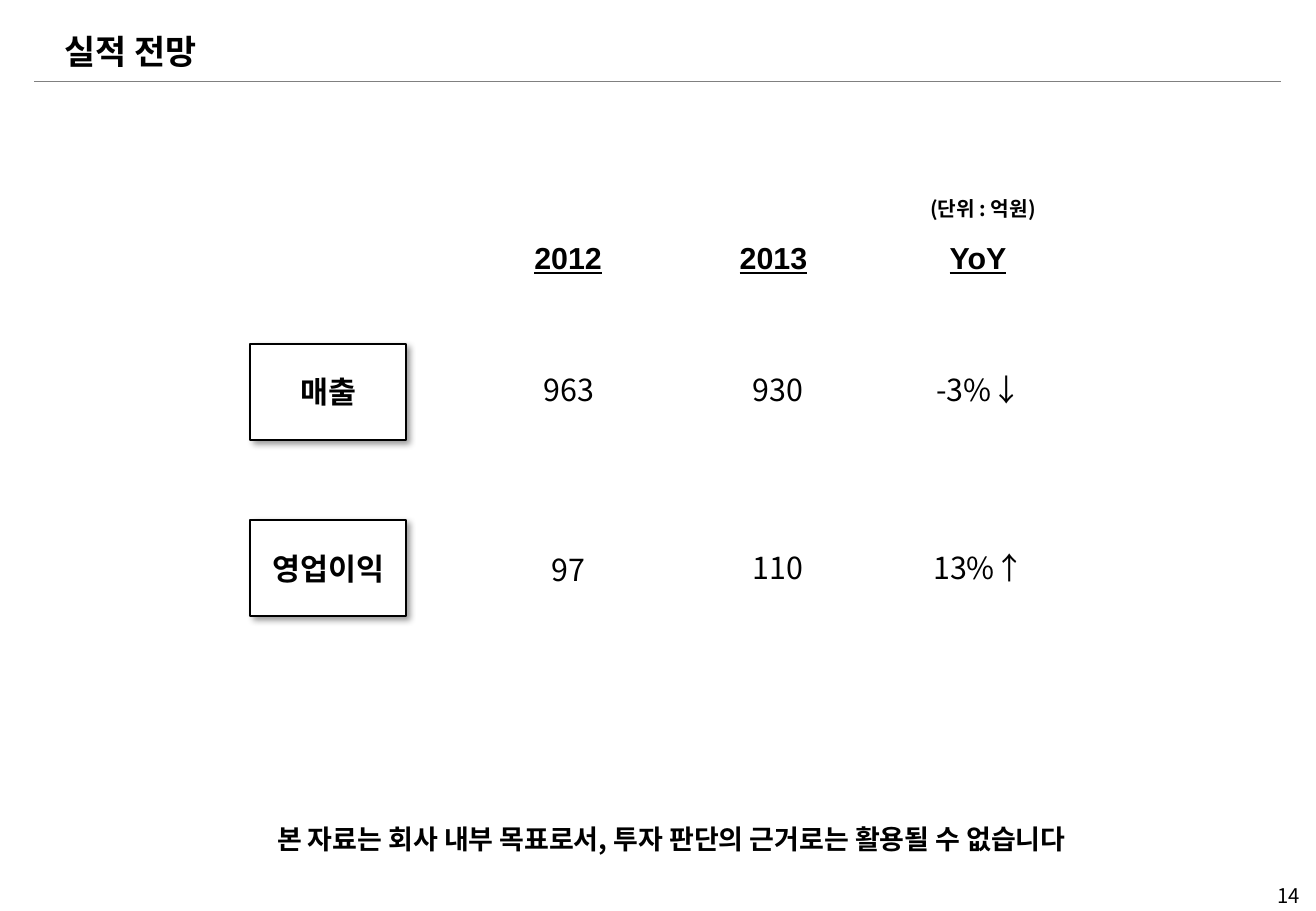
from lxml.etree import SubElement
from pptx import Presentation
from pptx.dml.color import RGBColor
from pptx.enum.shapes import MSO_CONNECTOR, MSO_SHAPE
from pptx.enum.text import MSO_ANCHOR, MSO_AUTO_SIZE, PP_ALIGN
from pptx.oxml.ns import qn
from pptx.util import Emu, Pt

BLACK = RGBColor(0x00, 0x00, 0x00)
WHITE = RGBColor(0xFF, 0xFF, 0xFF)
GRAY = RGBColor(0x80, 0x80, 0x80)
KOREAN, LATIN, LABEL = "Noto Sans CJK KR", "Arial", "Cabin"
HANGING = 20


def px(n):
    """100 px to the inch."""
    return Emu(n * 9144)


class ForecastSlide:
    def __init__(self, prs):
        self.slide = prs.slides.add_slide(prs.slide_layouts[6])
        self.shapes = self.slide.shapes

    def set_text(self, sp, text, size, font, bold, underline, align, pad):
        tf = sp.text_frame
        tf.word_wrap = True
        tf.margin_left = tf.margin_right = 0
        tf.margin_top = tf.margin_bottom = px(pad)
        tf.text = text
        p = tf.paragraphs[0]
        p.alignment = align
        r = p.runs[0]
        r.font.size = Pt(size)
        r.font.name = font
        r.font.bold = bold
        r.font.underline = underline
        r.font.color.rgb = BLACK
        SubElement(r._r.get_or_add_rPr(), qn("a:ea"), typeface=KOREAN)
        return tf

    def text(self, x, y, w, h, text, size=18, font=KOREAN, bold=False,
             underline=False, align=PP_ALIGN.LEFT, pad=0):
        sp = self.shapes.add_textbox(px(x), px(y), px(w), px(h))
        tf = self.set_text(sp, text, size, font, bold, underline, align, pad)
        tf.auto_size = MSO_AUTO_SIZE.SHAPE_TO_FIT_TEXT
        return tf

    def centered(self, x, y, w, h, text, **style):
        tf = self.text(x, y, w, h, text, align=PP_ALIGN.CENTER, pad=5, **style)
        pPr = tf.paragraphs[0]._p.get_or_add_pPr()
        pPr.set("marL", str(px(HANGING)))
        pPr.set("indent", str(px(-HANGING)))

    def label(self, x, y, w, h, text):
        sp = self.shapes.add_shape(MSO_SHAPE.RECTANGLE, px(x), px(y), px(w), px(h))
        sp.fill.solid()
        sp.fill.fore_color.rgb = WHITE
        sp.line.color.rgb = BLACK
        sp.line.width = Pt(1)
        tf = self.set_text(sp, text, 18, LABEL, True, False, PP_ALIGN.CENTER, 0)
        tf.vertical_anchor = MSO_ANCHOR.MIDDLE
        # Soft shadow to the lower right
        sp.shadow.inherit = False
        effects = sp._element.spPr.find(qn("a:effectLst"))
        shadow = SubElement(effects, qn("a:outerShdw"), blurRad=str(Pt(4)),
                            dist=str(Pt(3)), dir="2700000", algn="tl", rotWithShape="0")
        color = SubElement(shadow, qn("a:srgbClr"), val=str(BLACK))
        SubElement(color, qn("a:alpha"), val="40000")

    def rule(self, x1, x2, y):
        line = self.shapes.add_connector(MSO_CONNECTOR.STRAIGHT, px(x1), px(y), px(x2), px(y))
        line.line.color.rgb = GRAY
        line.line.width = Pt(1)
        SubElement(line._element.spPr, qn("a:effectLst"))


def main():
    prs = Presentation()
    prs.slide_width, prs.slide_height = px(1083), px(750)
    s = ForecastSlide(prs)

    # Title and page number
    s.rule(28, 1054, 67)
    s.text(53, 25, 1003, 33, "실적 전망", size=20, bold=True)
    s.text(844, 727, 226, 20, "14", size=12, align=PP_ALIGN.RIGHT)

    # Unit and column headings
    s.centered(739, 157, 140, 30, "(단위 : 억원)", size=12, bold=True)
    for x, w, heading in ((422, 91, "2012"), (591, 91, "2013"), (765, 80, "YoY")):
        s.centered(x, 192, w, 40, heading, font=LATIN, bold=True, underline=True)

    # Rows: label, then (value, top) per column
    columns = (413, 585, 751)
    rows = (
        (283, "매출", (("963", 301), ("930", 301), ("-3%↓", 301))),
        (428, "영업이익", (("97", 449), ("110", 447), ("13%↑", 447))),
    )
    for top, name, values in rows:
        s.label(206, top, 128, 79, name)
        for x, (value, y) in zip(columns, values):
            s.centered(x, y, 110, 40, value)

    # Disclaimer
    s.centered(170, 672, 765, 37, "본 자료는 회사 내부 목표로서, 투자 판단의 근거로는 활용될 수 없습니다",
               size=16, bold=True)

    prs.save("out.pptx")


if __name__ == "__main__":
    main()
